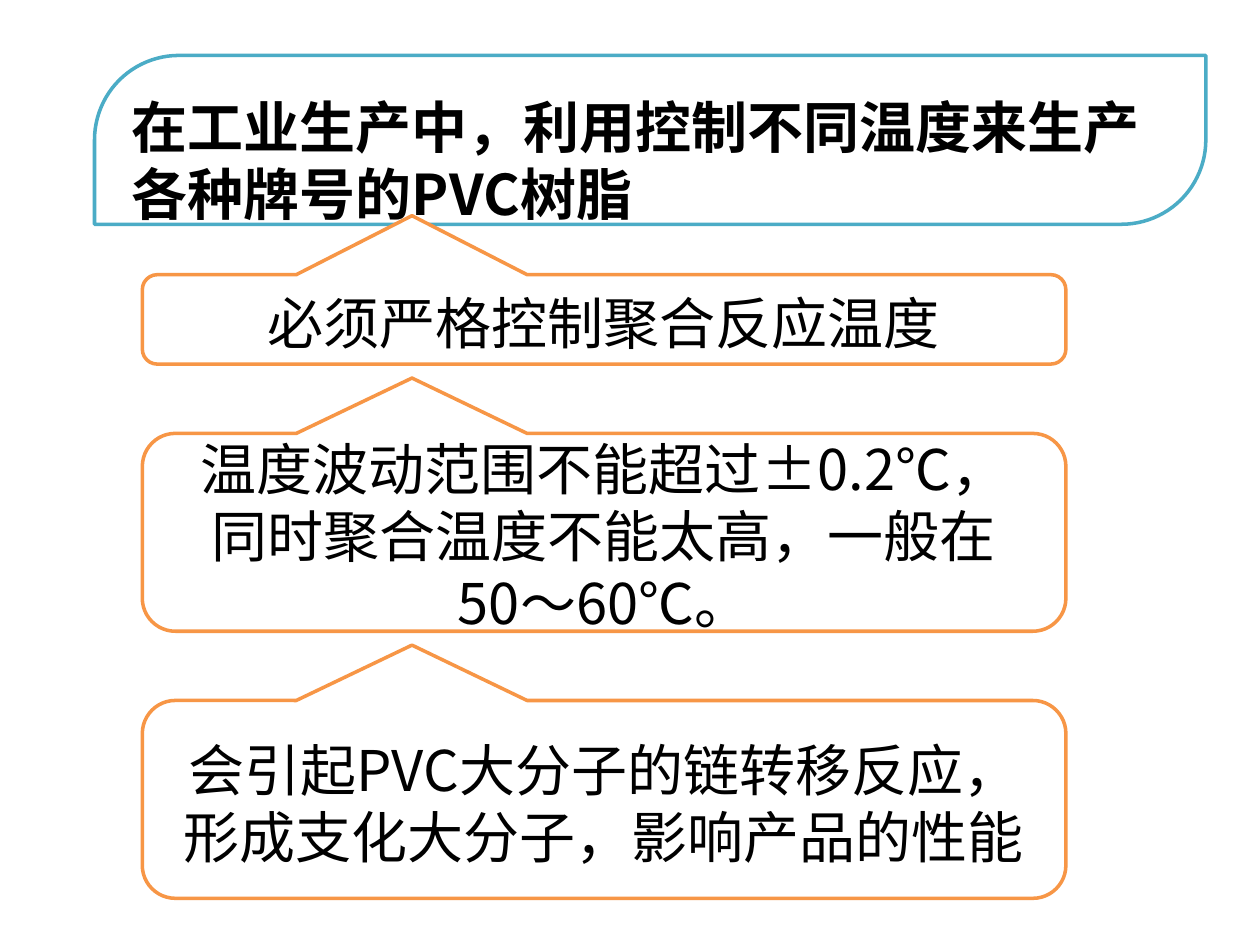
from pptx import Presentation
from pptx.dml.color import RGBColor
from pptx.enum.shapes import MSO_SHAPE
from pptx.enum.text import MSO_ANCHOR, PP_ALIGN
from pptx.oxml.ns import qn
from pptx.util import Inches, Pt

HEADING_SHAPE = MSO_SHAPE.ROUND_2_DIAG_RECTANGLE
CALLOUT_SHAPE = MSO_SHAPE.ROUNDED_RECTANGULAR_CALLOUT
TOP, MIDDLE = MSO_ANCHOR.TOP, MSO_ANCHOR.MIDDLE
LEFT, CENTER = PP_ALIGN.LEFT, PP_ALIGN.CENTER

COLORS = {"text": "000000", "paper": "FFFFFF", "heading": "4BACC6", "callout": "F79646"}
FONT = "Noto Sans CJK SC"
BLANK_LAYOUT = 6

HEADING = "在工业生产中，利用控制不同温度来生产各种牌号的PVC树脂"
# Each callout points up at the statement above it: top, height, pointer tip, lines
CALLOUTS = [
    (2.18, 0.71, -1.16, ["必须严格控制聚合反应温度"]),
    (3.44, 1.57, -0.78, ["温度波动范围不能超过±0.2℃，",
                         "同时聚合温度不能太高，一般在",
                         "50～60℃。"]),
    (5.56, 1.57, -0.78, ["会引起PVC大分子的链转移反应，形成支化大分子，影响产品的性能"]),
]


def color(name):
    return RGBColor.from_string(COLORS[name])


def write_text(shape, lines, bold=False, align=CENTER, anchor=MIDDLE):
    frame = shape.text_frame
    frame.word_wrap = True
    frame.vertical_anchor = anchor
    frame.margin_top = Inches(0.1)
    frame.text = "\n".join(lines)
    for paragraph in frame.paragraphs:
        paragraph.alignment = align
        paragraph.line_spacing = Pt(38.3)
        for run in paragraph.runs:
            run.font.size = Pt(32)
            run.font.bold = bold
            run.font.name = FONT
            run.font.color.rgb = color("text")
            east_asian = run.font._element.makeelement(qn("a:ea"), {"typeface": FONT})
            run.font._element.find(qn("a:latin")).addnext(east_asian)


def add_outlined(slide, preset, box, adjustments, line, fill=None):
    shape = slide.shapes.add_shape(preset, *(Inches(length) for length in box))
    shape.shadow.inherit = False
    for index, value in enumerate(adjustments):
        shape.adjustments[index] = value
    if fill:
        shape.fill.solid()
        shape.fill.fore_color.rgb = color(fill)
    else:
        shape.fill.background()
    shape.line.color.rgb = color(line)
    shape.line.width = Pt(2)
    return shape


def add_heading(slide):
    heading = add_outlined(slide, HEADING_SHAPE, (0.75, 0.44, 8.82, 1.34),
                           (0.5, 0), "heading")
    write_text(heading, [HEADING], bold=True, align=LEFT, anchor=TOP)


def add_callout(slide, top, height, tip, lines):
    callout = add_outlined(slide, CALLOUT_SHAPE, (1.13, top, 7.33, height),
                           (-0.208, tip, 0.167), "callout", fill="paper")
    write_text(callout, lines)


def main():
    presentation = Presentation()
    presentation.slide_width = Inches(10)
    presentation.slide_height = Inches(7.5)
    slide = presentation.slides.add_slide(presentation.slide_layouts[BLANK_LAYOUT])
    add_heading(slide)
    for callout in CALLOUTS:
        add_callout(slide, *callout)
    presentation.save("out.pptx")


if __name__ == "__main__":
    main()
